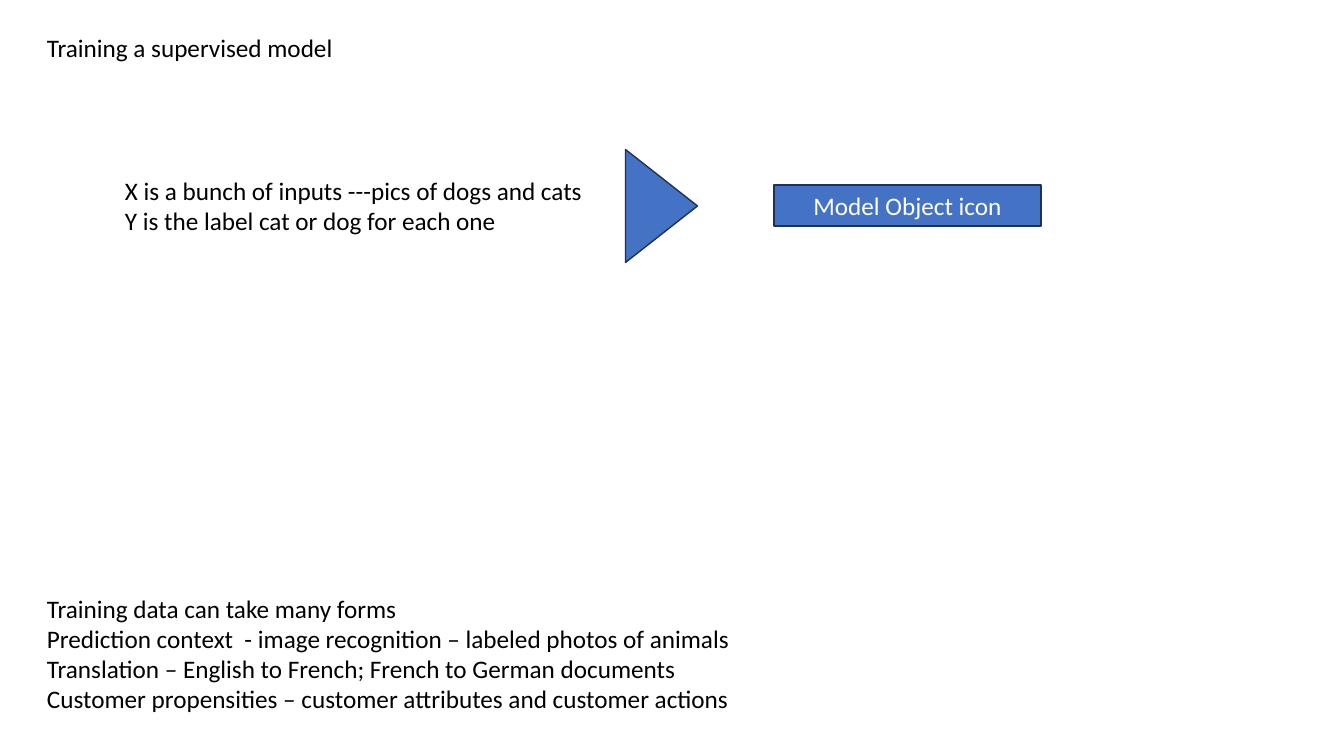
from dataclasses import dataclass

from pptx import Presentation
from pptx.dml.color import RGBColor
from pptx.enum.shapes import MSO_SHAPE
from pptx.enum.text import MSO_ANCHOR, MSO_AUTO_SIZE, PP_ALIGN
from pptx.shapes.autoshape import Shape
from pptx.slide import Slide
from pptx.text.text import TextFrame
from pptx.util import Emu, Pt

PIXELS_PER_INCH = 100.8
COLOURS = {"text": "000000", "fill": "4472C4", "outline": "1E3256", "label": "FFFFFF"}


@dataclass(frozen=True)
class Area:
    left: int
    top: int
    width: int
    height: int


@dataclass(frozen=True)
class Note:
    area: Area
    lines: tuple[str, ...]


@dataclass(frozen=True)
class Block:
    kind: MSO_SHAPE
    area: Area
    rotation: int = 0
    label: str = ""


NOTES = (
    Note(Area(37, 27, 309, 40), ("Training a supervised model",)),
    Note(
        Area(115, 170, 483, 72),
        (
            "X is a bunch of inputs ---pics of dogs and cats",
            "Y is the label cat or dog for each one",
        ),
    ),
    Note(
        Area(37, 588, 712, 132),
        (
            "Training data can take many forms",
            "Prediction context  - image recognition – labeled photos of animals",
            "Translation – English to French; French to German documents",
            "Customer propensities – customer attributes and customer actions",
        ),
    ),
)

BLOCKS = (
    Block(MSO_SHAPE.ISOSCELES_TRIANGLE, Area(605, 170, 113, 72), rotation=90),
    Block(MSO_SHAPE.RECTANGLE, Area(774, 185, 267, 41), label="Model Object icon"),
)


def px(length: int) -> Emu:
    return Emu(round(length * 914400 / PIXELS_PER_INCH))


def place(area: Area) -> tuple[Emu, Emu, Emu, Emu]:
    return px(area.left), px(area.top), px(area.width), px(area.height)


def colour(name: str) -> RGBColor:
    return RGBColor.from_string(COLOURS[name])


def write(
    frame: TextFrame,
    lines: tuple[str, ...],
    *,
    ink: str = "text",
    size: int = 18,
    align: PP_ALIGN = PP_ALIGN.LEFT,
) -> None:
    for index, line in enumerate(lines):
        para = frame.paragraphs[0] if index == 0 else frame.add_paragraph()
        para.alignment = align
        span = para.add_run()
        span.text = line
        span.font.name = "Calibri"
        span.font.size = Pt(size)
        span.font.color.rgb = colour(ink)


def add_note(page: Slide, note: Note) -> Shape:
    box = page.shapes.add_textbox(*place(note.area))
    box.text_frame.word_wrap = False
    box.text_frame.auto_size = MSO_AUTO_SIZE.SHAPE_TO_FIT_TEXT
    write(box.text_frame, note.lines)
    return box


def add_block(page: Slide, block: Block) -> Shape:
    shape = page.shapes.add_shape(block.kind, *place(block.area))
    shape.rotation = block.rotation
    shape.shadow.inherit = False
    shape.fill.solid()
    shape.fill.fore_color.rgb = colour("fill")
    shape.line.color.rgb = colour("outline")
    shape.line.width = Pt(1)
    if block.label:
        shape.text_frame.vertical_anchor = MSO_ANCHOR.MIDDLE
        write(shape.text_frame, (block.label,), ink="label", align=PP_ALIGN.CENTER)
    return shape


def main() -> None:
    deck = Presentation()
    deck.slide_width, deck.slide_height = px(1344), px(756)
    page = deck.slides.add_slide(deck.slide_layouts[6])
    for note in NOTES:
        add_note(page, note)
    for block in BLOCKS:
        add_block(page, block)
    deck.save("out.pptx")


if __name__ == "__main__":
    main()
